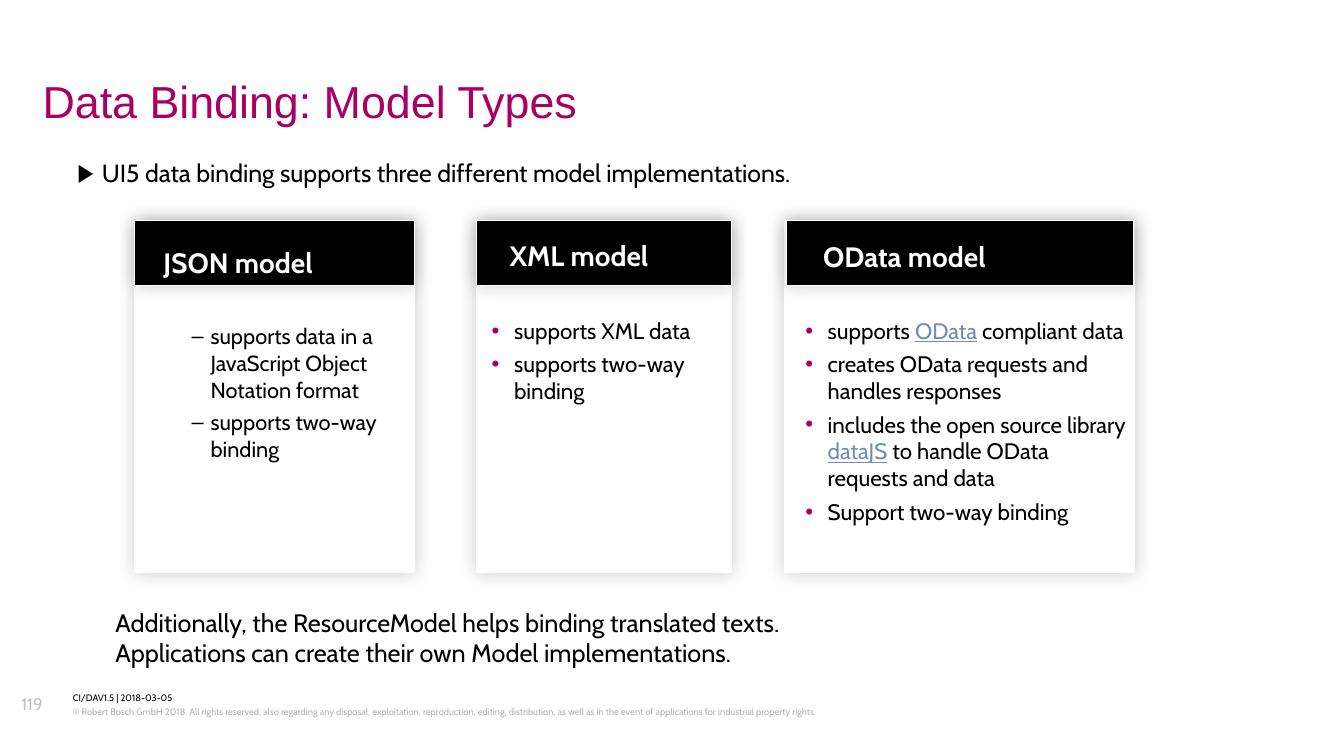
from dataclasses import dataclass

import pptx
import pptx.dml.color
import pptx.enum.shapes
import pptx.enum.text
import pptx.oxml.ns
import pptx.util
from lxml import etree
from pptx.util import Inches


@dataclass(frozen=True)
class Theme:
    """Colours, fonts and type sizes of the slide."""
    accent: str = "A80163"
    black: str = "000000"
    white: str = "FFFFFF"
    link: str = "738CB4"
    notice: str = "B2B3B5"
    number: str = "BEC0C2"
    body_font: str = "Cabin"
    title_font: str = "Arial"
    title: float = 28.8
    heading: float = 18
    closing: float = 16.2
    intro: float = 16
    item: float = 14.4
    small_item: float = 14
    page_number: float = 10.8
    footer: float = 6


THEME = Theme()


@dataclass(frozen=True)
class Bullet:
    """Bullet sign with its colour and indents in inches."""
    sign: str
    color: str
    margin: float
    hang: float


@dataclass(frozen=True)
class Card:
    """One model type with its panel, text positions and items."""
    name: str
    panel: tuple
    header: tuple
    heading_at: tuple
    list_at: tuple
    items: list
    bullet: Bullet
    size: float = THEME.item
    line: float = 1.0
    gap: float = 4.2


ARROW = Bullet("▶", THEME.black, 0.42, 0.22)
DASH = Bullet("‒", THEME.black, 0.6, 0.17)
DOT = Bullet("•", THEME.accent, 0.3, 0.2)

CARDS = [
    Card("OData model", (7, 3.13), (7.02, 3.1), (7.35, 2.14), (7.09, 2.83, 2.98, 2.3),
         [[("supports ", False), ("OData", True), (" compliant data", False)],
          [("creates OData requests and handles responses", False)],
          [("includes the open source library ", False), ("dataJS", True),
           (" to handle OData requests and data", False)],
          [("Support two-way binding", False)]], DOT),
    Card("XML model", (4.25, 2.28), (4.25, 2.28), (4.55, 2.13), (4.29, 2.83, 2.48, 2),
         [[("supports XML data", False)], [("supports two-way binding", False)]], DOT),
    Card("JSON model", (1.2, 2.5), (1.2, 2.5), (1.46, 2.19), (1.28, 2.88, 2.32, 2),
         [[("supports data in a JavaScript Object Notation format", False)],
          [("supports two-way binding", False)]], DASH, THEME.small_item, 1.02, 3.8),
]


def rgb(color):
    """Turn a hex string into a colour."""
    return pptx.dml.color.RGBColor.from_string(color)


def add_child(parent, name, **attributes):
    """Append a DrawingML element."""
    return etree.SubElement(parent, pptx.oxml.ns.qn(f"a:{name}"), attributes)


def add_box(page, left, top, width, height):
    """Add a wrapping text box without insets and return its frame."""
    frame = page.shapes.add_textbox(*map(Inches, (left, top, width, height))).text_frame
    frame.word_wrap = True
    frame.margin_left = frame.margin_right = frame.margin_top = frame.margin_bottom = 0
    return frame


def add_span(para, text, size, color, font=THEME.body_font, bold=False, underline=False):
    """Add one formatted run."""
    span = para.add_run()
    span.text = text
    span.font.name = font
    span.font.size = pptx.util.Pt(size)
    span.font.bold = bold
    span.font.underline = underline
    span.font.color.rgb = rgb(color)


def add_line(page, place, text, size, color, spacing=1.0, **style):
    """Add a text box with a single paragraph and return its frame."""
    frame = add_box(page, *place)
    para = frame.paragraphs[0]
    para.line_spacing = spacing
    add_span(para, text, size, color, **style)
    return frame


def set_bullet(para, bullet):
    """Give a paragraph a bullet and a hanging indent."""
    properties = para._p.get_or_add_pPr()
    properties.set("marL", str(Inches(bullet.margin)))
    properties.set("indent", str(-Inches(bullet.hang)))
    add_child(add_child(properties, "buClr"), "srgbClr", val=bullet.color)
    add_child(properties, "buFont", typeface=THEME.title_font)
    add_child(properties, "buChar", char=bullet.sign)


def add_list(page, place, items, bullet, size, spacing, gap):
    """Add a bulleted list whose items are lists of text and link flag."""
    frame = add_box(page, *place)
    for index, parts in enumerate(items):
        para = frame.add_paragraph() if index else frame.paragraphs[0]
        para.line_spacing = spacing
        if index:
            para.space_before = pptx.util.Pt(gap)
        set_bullet(para, bullet)
        for text, linked in parts:
            color = THEME.link if linked else THEME.black
            add_span(para, text, size, color, underline=linked)


def add_panel(page, left, width, height, color):
    """Add a rectangle with a thin white line and a soft shadow."""
    shape = page.shapes.add_shape(
        pptx.enum.shapes.MSO_SHAPE.RECTANGLE,
        *map(Inches, (left, 1.97, width, height)))
    shape.fill.solid()
    shape.fill.fore_color.rgb = rgb(color)
    shape.line.color.rgb = rgb(THEME.white)
    shape.line.width = pptx.util.Pt(0.5)
    shape.shadow.inherit = False
    effects = shape._element.spPr.find(pptx.oxml.ns.qn("a:effectLst"))
    shadow = add_child(effects, "outerShdw", blurRad=str(pptx.util.Pt(12)),
                       dist="0", dir="0", algn="ctr", rotWithShape="0")
    add_child(add_child(shadow, "srgbClr", val=THEME.black), "alpha", val="20000")


def add_card(page, card):
    """Add a model card with header and list."""
    add_panel(page, *card.panel, 3.14, THEME.white)
    add_panel(page, *card.header, 0.58, THEME.black)
    add_line(page, (*card.heading_at, 2, 0.31), card.name, THEME.heading,
             THEME.white, bold=True)
    add_list(page, card.list_at, card.items, card.bullet, card.size, card.line, card.gap)


def add_footer(page):
    """Add the page number, document mark and copyright line."""
    add_line(page, (0.65, 6.17, 10.01, 0.12), "CI/DAV1.5 | 2018-03-05",
             THEME.footer, THEME.black, 1.07)
    add_line(page, (0.65, 6.3, 10.01, 0.24),
             "© Robert Bosch GmbH 2018. All rights reserved, also regarding any disposal, "
             "exploitation, reproduction, editing, distribution, as well as in the event of "
             "applications for industrial property rights.",
             THEME.footer, THEME.notice, 1.07)
    add_line(page, (0.19, 6.18, 0.38, 0.25), "119", THEME.page_number, THEME.number, 1.07)


def main():
    """Build and save the slide."""
    deck = pptx.Presentation()
    deck.slide_width, deck.slide_height = Inches(12), Inches(6.75)
    page = deck.slides.add_slide(deck.slide_layouts[6])
    add_footer(page)
    title = add_line(page, (0.38, 0.71, 8.99, 0.43), "Data Binding: Model Types",
                     THEME.title, THEME.accent, 0.9, font=THEME.title_font)
    title.vertical_anchor = pptx.enum.text.MSO_ANCHOR.MIDDLE
    intro = [("UI5 data binding supports three different model implementations.", False)]
    add_list(page, (0.49, 1.4, 8.36, 0.47), [intro], ARROW, THEME.intro, 1.03, 0)
    for card in CARDS:
        add_card(page, card)
    closing = add_line(page, (1.03, 5.42, 8.34, 0.83),
                       "Additionally, the ResourceModel helps binding translated texts.",
                       THEME.closing, THEME.black).paragraphs[0]
    closing.add_line_break()
    add_span(closing, "Applications can create their own Model implementations.",
             THEME.closing, THEME.black)
    deck.save("out.pptx")


if __name__ == "__main__":
    main()
